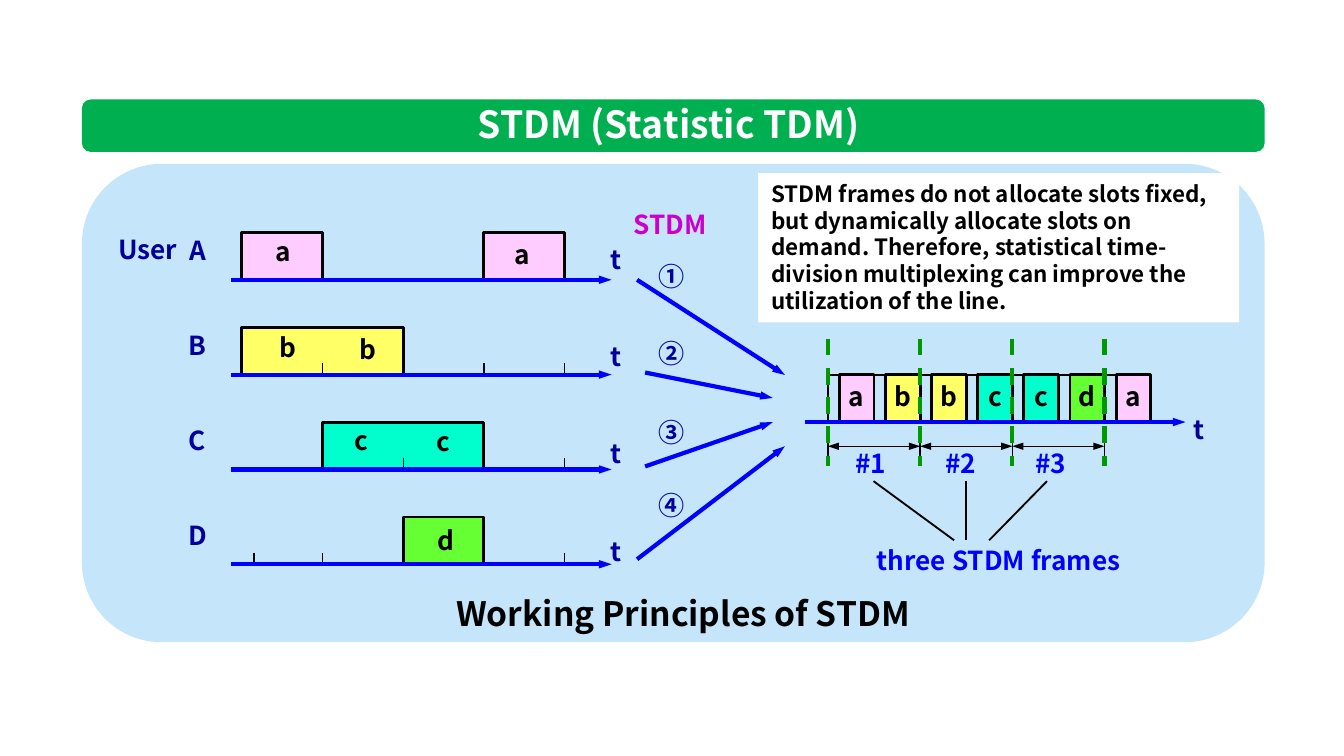
from lxml import etree
from pptx import Presentation
from pptx.dml.color import RGBColor
from pptx.enum import dml, shapes, text
from pptx.oxml import ns
from pptx.util import Pt

FONT = "Noto Sans CJK SC"
BLACK, WHITE, BLUE, NAVY = "000000", "FFFFFF", "0000FF", "000099"
USER_COLORS = {"a": "FFCCFF", "b": "FFFF66", "c": "00FFCC", "d": "66FF33"}
SLOT_HEIGHT = 25.3


def color(hex_string):
    return RGBColor.from_string(hex_string)


def write(shape, words, size, ink, align=text.PP_ALIGN.CENTER, wrap=False):
    frame = shape.text_frame
    frame.text = words
    frame.word_wrap = wrap
    frame.auto_size = text.MSO_AUTO_SIZE.NONE
    frame.vertical_anchor = text.MSO_ANCHOR.TOP
    paragraph = frame.paragraphs[0]
    paragraph.alignment = align
    paragraph.line_spacing = Pt(1.2 * size)
    font = paragraph.font
    font.name, font.size, font.bold = FONT, Pt(size), True
    font.color.rgb = color(ink)


def add_label(slide, words, center, top, ink=NAVY, size=14, width=26):
    """Add one line of text centred on a horizontal position."""
    box = slide.shapes.add_textbox(
        Pt(center - width / 2), Pt(top), Pt(width), Pt(1.2 * size + 7.2))
    write(box, words, size, ink)


def add_box(slide, kind, box, fill):
    shape = slide.shapes.add_shape(kind, *map(Pt, box))
    shape.shadow.inherit = False
    shape.fill.solid()
    shape.fill.fore_color.rgb = color(fill)
    shape.line.fill.background()
    return shape


def add_line(slide, start, end, ink=BLACK, weight=0.75, arrows=(), dashed=False):
    """Add a line; arrows may name headEnd, tailEnd or both, in that order."""
    line = slide.shapes.add_connector(
        shapes.MSO_CONNECTOR.STRAIGHT, *map(Pt, (*start, *end)))
    line.line.color.rgb = color(ink)
    line.line.width = Pt(weight)
    if dashed:
        line.line.dash_style = dml.MSO_LINE.DASH
    properties = line.element.spPr
    outline = properties.find(ns.qn("a:ln"))
    for arrow in arrows:
        etree.SubElement(outline, ns.qn(f"a:{arrow}"),
                         type="triangle", w="sm", len="med")
    etree.SubElement(properties, ns.qn("a:effectLst"))


def add_slot(slide, left, base, width, fill=None, weight=1.5):
    """Draw a slot that stands open on the time axis."""
    top, right = base - SLOT_HEIGHT, left + width
    builder = slide.shapes.build_freeform(Pt(left), Pt(base))
    corners = [(left, top), (right, top), (right, base)]
    builder.add_line_segments([(Pt(x), Pt(y)) for x, y in corners], close=False)
    slot = builder.convert_to_shape()
    slot.shadow.inherit = False
    if fill:
        slot.fill.solid()
        slot.fill.fore_color.rgb = color(fill)
    else:
        slot.fill.background()
    slot.line.color.rgb = color(BLACK)
    slot.line.width = Pt(weight)


def add_time_axis(slide, left, base):
    add_line(slide, (left, base), (left + 203.8, base), BLUE, 2.25, ["tailEnd"])


def add_banner(slide, left, top, width, height):
    add_box(slide, shapes.MSO_SHAPE.ROUNDED_RECTANGLE,
            (left, top, width, height), "00B050")
    title = slide.shapes.title
    title.left, title.top = Pt(left + 195.5), Pt(top - 2.9)
    title.width, title.height = Pt(237.6), Pt(31.7)
    write(title, "STDM (Statistic TDM)", 20, WHITE)
    slide.shapes.element.append(title.element)  # bring in front of the band


def add_users(slide, left, top):
    """Draw the four input channels; top is the first time axis."""
    pitch, first_slot = 43.2, left + 5.8
    # user, blocks (slot, count), ticks in slots, letters (centre, rise above axis)
    users = [
        ("A", [(0, 1), (3, 1)], [], [(27.8, 27.5), (155.9, 26)]),
        ("B", [(0, 2)], [1, 3, 4], [(30.6, 26.5), (73.1, 25.8)]),
        ("C", [(1, 2)], [2, 4], [(69.9, 27.6), (113.8, 26.9)]),
        ("D", [(2, 1)], [0.15, 1, 4], [(114.9, 25.1)]),
    ]
    add_label(slide, "User", left - 44.6, top - 28.2, width=46)
    for row, (user, blocks, ticks, letters) in enumerate(users):
        base, letter = top + 50.8 * row, user.lower()
        add_label(slide, user, left - 18, base - 27.7)
        for slot, count in blocks:
            add_slot(slide, first_slot + slot * pitch, base, count * pitch,
                     USER_COLORS[letter])
        for tick in ticks:
            x = first_slot + tick * pitch
            add_line(slide, (x, base - 6.3), (x, base))
        for center, rise in letters:
            add_label(slide, letter, left + center, base - rise, BLACK)
        add_time_axis(slide, left, base)
        add_label(slide, "t", left + 206, base - 23.2 + 1.3 * row)


def add_inputs(slide, left, top):
    """Draw the numbered arrows that lead into the multiplexer."""
    add_label(slide, "STDM", left + 17.8, top - 41.8, "CC00CC", width=60)
    arrows = [
        ("①", -13.7, (0, 0), (79.2, 51)),
        ("②", 27.3, (4.3, 49.7), (72.7, 63.3)),
        ("③", 69.8, (4.3, 100), (72.7, 76.3)),
        ("④", 108.7, (0, 149.7), (79.2, 89.2)),
    ]
    for number, label_top, (x1, y1), (x2, y2) in arrows:
        add_line(slide, (left + x1, top + y1), (left + x2, top + y2),
                 BLUE, 2.25, ["tailEnd"])
        add_label(slide, number, left + 18.3, top + label_top)


def add_frames(slide, left, base):
    """Draw the multiplexed line and its three frames, from the axis start."""
    pitch, gap = 24.7, 6.2
    frame_width, first_frame = 2 * pitch, left + 12.2
    letters = "abbccda"
    for index, letter in enumerate(letters):
        add_slot(slide, first_frame + index * pitch + gap, base, pitch - gap,
                 USER_COLORS[letter])
    for index in range(len(letters)):
        add_slot(slide, first_frame + index * pitch, base, gap, weight=0.75)
    add_time_axis(slide, left, base)
    add_label(slide, "t", left + 211, base - 8)

    borders = [first_frame + index * frame_width for index in range(4)]
    for border in borders:
        add_line(slide, (border, base + 6.5), (border, base + 19.5))
        add_line(slide, (border, base - 44.7), (border, base + 23.8),
                 "009900", 2.25, dashed=True)
    fan = [(36.7, 79.9), (86.4, 86.4), (129.6, 98.6)]
    for index, (start, end) in enumerate(zip(borders, borders[1:])):
        add_line(slide, (start, base + 13), (end, base + 13),
                 arrows=["headEnd", "tailEnd"])
        add_label(slide, f"#{index + 1}", left + 35.3 + 48.2 * index,
                  base + 10.2, BLUE, width=32)
        x1, x2 = fan[index]
        add_line(slide, (left + x1, base + 31.7), (left + x2, base + 63.4), weight=1)
    add_label(slide, "three STDM frames", left + 103.7, base + 62, BLUE, width=152)
    for index, letter in enumerate(letters):
        add_label(slide, letter, first_frame + index * pitch + (pitch + gap) / 2,
                  base - 25.9, BLACK)


def add_note(slide, left, top, width, height):
    note = add_box(slide, shapes.MSO_SHAPE.RECTANGLE,
                   (left, top, width, height), WHITE)
    write(note, "STDM frames do not allocate slots fixed, but dynamically "
          "allocate slots on demand. Therefore, statistical time-division "
          "multiplexing can improve the utilization of the line.",
          12, BLACK, text.PP_ALIGN.LEFT, wrap=True)


def add_diagram(slide, left, top, width, height):
    add_box(slide, shapes.MSO_SHAPE.ROUNDED_RECTANGLE,
            (left, top, width, height), "C5E5FB")
    add_users(slide, left + 79.9, top + 62.1)
    add_inputs(slide, left + 297.4, top + 62.1)
    add_frames(slide, left + 387.4, top + 138.3)
    add_note(slide, left + 362.2, top + 5, 257.8, 79.9)
    add_label(slide, "Working Principles of STDM", left + 322, top + 226.1,
              BLACK, 18, width=270)


def main():
    presentation = Presentation()
    presentation.slide_width, presentation.slide_height = Pt(720), Pt(405)
    slide = presentation.slides.add_slide(presentation.slide_layouts[5])
    add_diagram(slide, 43.9, 87.8, 633.6, 256.3)
    add_banner(slide, 43.9, 53.3, 633.6, 28.1)
    presentation.save("out.pptx")


if __name__ == "__main__":
    main()
